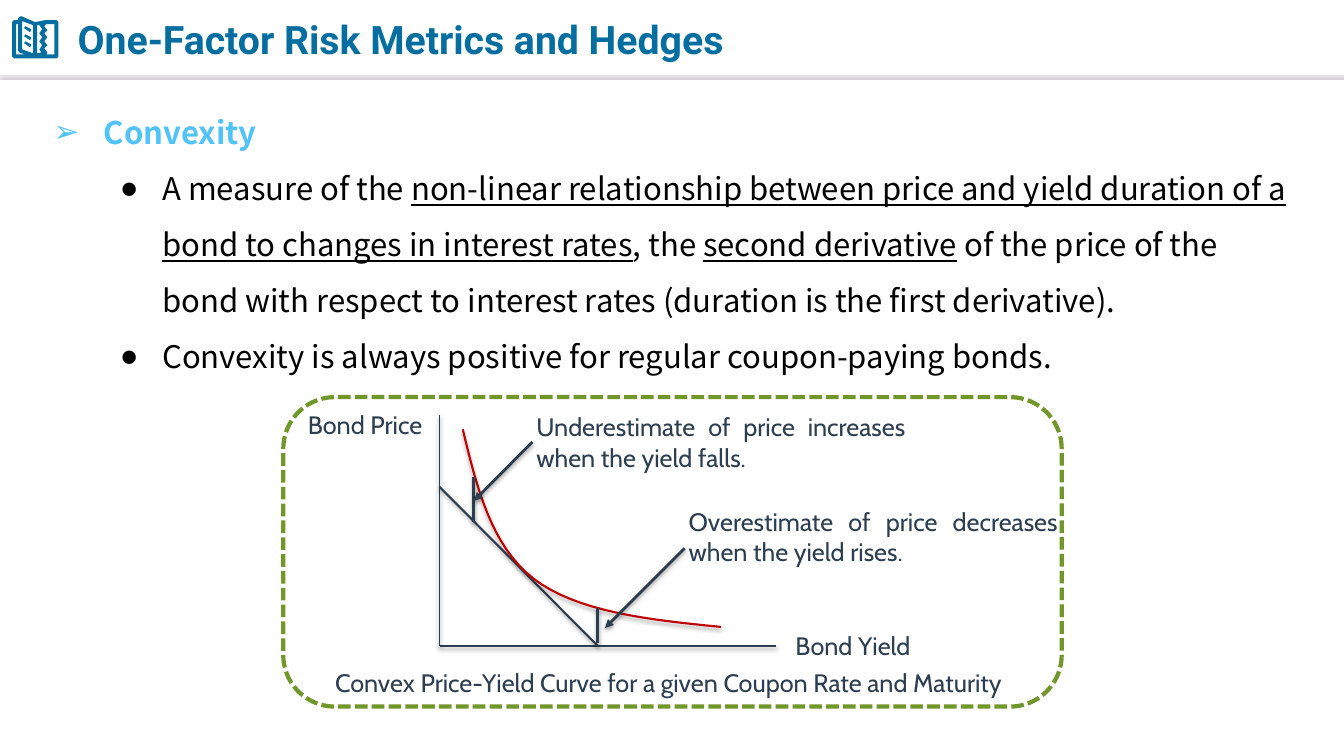
from lxml import etree
from pptx import Presentation
from pptx.dml.color import RGBColor
from pptx.enum.dml import MSO_LINE
from pptx.enum.shapes import MSO_CONNECTOR, MSO_SHAPE
from pptx.enum.text import MSO_ANCHOR, MSO_AUTO_SIZE, PP_ALIGN
from pptx.oxml.ns import qn
from pptx.util import Inches, Pt

STRAIGHT = MSO_CONNECTOR.STRAIGHT
ROUNDED = MSO_SHAPE.ROUNDED_RECTANGLE
DASHED = MSO_LINE.SQUARE_DOT
MIDDLE, TOP = MSO_ANCHOR.MIDDLE, MSO_ANCHOR.TOP
LEFT, CENTER, JUSTIFY = PP_ALIGN.LEFT, PP_ALIGN.CENTER, PP_ALIGN.JUSTIFY
LEFT_SIDE = 1

COLORS = {
    "title": "056EA0", "heading": "51C3F9", "body": "000000", "ink": "2C3E50",
    "curve": "C00000", "frame": "719629", "white": "FFFFFF",
    "rule_shadow": "BCB4C4", "shadow": "000000",
}
SOFT_SHADOW = ("shadow", 38, 3.1, 1.6)
RULE_SHADOW = ("rule_shadow", 100, 1, 3)

BOOK_OUTLINES = [
    [(0.09, 0), (0.23, 0.06), (0.33, 0.04), (0.44, 0.04), (0.46, 0.06), (0.46, 0.4),
     (0.44, 0.42), (0.02, 0.42), (0, 0.4), (0, 0.06), (0.02, 0.04), (0.06, 0.04), (0.06, 0.02)],
    [(0.04, 0.08), (0.04, 0.38), (0.13, 0.38), (0.07, 0.36), (0.06, 0.34), (0.06, 0.08)],
    [(0.1, 0.05), (0.1, 0.33), (0.21, 0.37), (0.21, 0.09)],
    [(0.27, 0.09), (0.25, 0.09), (0.25, 0.37), (0.29, 0.36), (0.27, 0.33), (0.3, 0.29),
     (0.27, 0.25), (0.3, 0.21), (0.27, 0.17), (0.3, 0.13)],
    [(0.34, 0.08), (0.32, 0.1), (0.35, 0.14), (0.32, 0.17), (0.35, 0.21), (0.32, 0.25),
     (0.35, 0.29), (0.32, 0.32), (0.35, 0.36), (0.34, 0.38), (0.42, 0.38), (0.42, 0.08)],
] + [
    [(0.13, 0.1 + drop), (0.19, 0.13 + drop), (0.18, 0.16 + drop), (0.12, 0.12 + drop)]
    for drop in (0, 0.08, 0.15)
]

CURVE_SEGMENTS = [
    [(1.78, 0.32), (1.92, 0.9), (2.06, 1.47), (2.48, 1.8)],
    [(2.48, 1.8), (2.91, 2.13), (3.62, 2.21), (4.34, 2.28)],
]

BULLETS = [
    [("A measure of the ", False),
     ("non-linear relationship between price and yield duration of a bond to changes"
      " in interest rates", True),
     (", the ", False),
     ("second derivative", True),
     (" of the price of the bond with respect to interest rates"
      " (duration is the first derivative).", False)],
    [("Convexity is always positive for regular coupon-paying bonds.", False)],
]


def color(name):
    """Return the named palette colour."""
    return RGBColor.from_string(COLORS[name])


def set_font(font, name, size, color_name, bold=False):
    """Apply family, size, colour and weight."""
    font.name, font.size, font.bold = name, Pt(size), bold
    font.color.rgb = color(color_name)


def add_shadow(shape, color_name, opacity, blur, distance):
    """Give a shape a downward outer shadow."""
    effects = etree.SubElement(shape._element.spPr, qn("a:effectLst"))
    outer = etree.SubElement(effects, qn("a:outerShdw"), blurRad=str(Pt(blur)),
                             dist=str(Pt(distance)), dir="5400000",
                             algn="t", rotWithShape="0")
    tint = etree.SubElement(outer, qn("a:srgbClr"), val=COLORS[color_name])
    etree.SubElement(tint, qn("a:alpha"), val=str(opacity * 1000))


def add_line(slide, start, end, width, color_name="ink", shadow=SOFT_SHADOW, arrow=False):
    """Draw a shadowed straight line, optionally with an arrowhead."""
    ends = [Inches(value) for value in (*start, *end)]
    connector = slide.shapes.add_connector(STRAIGHT, *ends)
    connector.line.color.rgb = color(color_name)
    connector.line.width = Pt(width)
    if arrow:
        etree.SubElement(connector.line._get_or_add_ln(), qn("a:tailEnd"), type="triangle")
    add_shadow(connector, *shadow)
    return connector


def add_outline(slide, contours, left, top, close):
    """Build one freeform from contours placed at the given corner."""
    placed = [[(Inches(left + x), Inches(top + y)) for x, y in contour] for contour in contours]
    builder = slide.shapes.build_freeform(*placed[0][0])
    builder.add_line_segments(placed[0][1:], close=close)
    for contour in placed[1:]:
        builder.move_to(*contour[0])
        builder.add_line_segments(contour[1:], close=close)
    return builder.convert_to_shape()


def bezier_points(segment, steps=16):
    """Sample a cubic Bezier segment."""
    points = []
    for step in range(steps + 1):
        t = step / steps
        weights = ((1 - t) ** 3, 3 * t * (1 - t) ** 2, 3 * t * t * (1 - t), t ** 3)
        points.append(tuple(sum(w * p[axis] for w, p in zip(weights, segment))
                            for axis in (0, 1)))
    return points


def place(shape, left, top, width, height):
    """Move and size a shape."""
    shape.left, shape.top = Inches(left), Inches(top)
    shape.width, shape.height = Inches(width), Inches(height)


def add_header(slide, left, top, width, height):
    """Draw the header rule, book icon and title."""
    add_line(slide, (left, top + height), (left + width, top + height), 0.75,
             "white", RULE_SHADOW)
    book = add_outline(slide, BOOK_OUTLINES, left + 0.12, top + 0.16, True)
    book.shadow.inherit = False
    book.fill.solid()
    book.fill.fore_color.rgb = color("title")
    book.line.fill.background()
    title = slide.shapes.title
    place(title, left + 0.67, top + 0.07, 7.36, 0.63)
    frame = title.text_frame
    frame.text = "One-Factor Risk Metrics and Hedges"
    frame.auto_size = MSO_AUTO_SIZE.NONE
    frame.vertical_anchor = MIDDLE
    frame.paragraphs[0].alignment = LEFT
    set_font(frame.paragraphs[0].font, "Roboto", 28, "title", True)


def format_bullet(paragraph, symbol, margin, hanging):
    """Set bullet, indent and spacing of a list paragraph."""
    paragraph.line_spacing = 1.5
    paragraph.space_before = Pt(0)
    properties = paragraph._p.get_or_add_pPr()
    properties.set("marL", str(Inches(margin)))
    properties.set("indent", str(Inches(-hanging)))
    etree.SubElement(properties, qn("a:buChar"), char=symbol)


def add_body(slide, left, top, width, height):
    """Fill the body placeholder with the heading and its bullets."""
    body = slide.placeholders[1]
    place(body, left, top, width, height)
    frame = body.text_frame
    frame.auto_size = MSO_AUTO_SIZE.NONE
    frame.vertical_anchor = TOP
    heading = frame.paragraphs[0]
    heading.text = "Convexity"
    format_bullet(heading, "➢", 0.5, 0.5)
    set_font(heading.font, "Noto Sans CJK SC", 22.2, "heading", True)
    for pieces in BULLETS:
        paragraph = frame.add_paragraph()
        paragraph.level = 1
        format_bullet(paragraph, "●", 1.08, 0.42)
        set_font(paragraph.font, "Noto Sans CJK SC", 22.2, "body")
        for text, underlined in pieces:
            run = paragraph.add_run()
            run.text = text
            if underlined:
                run.font.underline = True


def add_label(slide, text, left, top, width, height, alignment=CENTER, spacing=1.0):
    """Add a diagram label."""
    label = slide.shapes.add_textbox(*(Inches(v) for v in (left, top, width, height)))
    frame = label.text_frame
    frame.word_wrap = True
    frame.vertical_anchor = MIDDLE
    frame.margin_left = frame.margin_right = Inches(0.04)
    frame.margin_top = frame.margin_bottom = Inches(0.04)
    paragraph = frame.paragraphs[0]
    paragraph.text = text
    paragraph.alignment = alignment
    paragraph.line_spacing = spacing
    set_font(paragraph.font, "Cabin", 18, "ink")
    return label


def add_diagram(slide, left, top, width, height):
    """Draw the framed price-yield curve with its tangent and notes."""
    def at(x, y):
        """Shift a point into the diagram box."""
        return left + x, top + y

    origin, tangent_foot = at(1.55, 2.47), at(3.12, 2.47)
    add_line(slide, origin, at(4.89, 2.47), 1)
    add_line(slide, origin, at(1.55, 0.18), 1)
    add_line(slide, at(1.55, 0.89), tangent_foot, 1.5)
    points = bezier_points(CURVE_SEGMENTS[0]) + bezier_points(CURVE_SEGMENTS[1])[1:]
    curve = add_outline(slide, [points], left, top, False)
    curve.fill.background()
    curve.line.color.rgb = color("curve")
    curve.line.width = Pt(1.5)
    add_shadow(curve, *SOFT_SHADOW)
    add_line(slide, at(1.89, 1.24), at(1.89, 0.79), 2)
    add_line(slide, at(3.12, 2.44), at(3.12, 2.09), 2)
    under_arrow = add_line(slide, at(2.47, 0.44), at(1.89, 1.03), 2, arrow=True)
    under_note = add_label(slide, "Underestimate of price increases when the yield falls.",
                           *at(2.47, 0.09), 3.74, 0.71, JUSTIFY)
    under_arrow.begin_connect(under_note, LEFT_SIDE)
    add_line(slide, at(3.98, 1.5), at(3.19, 2.29), 2, arrow=True)
    add_label(slide, "Overestimate of price decreases when the yield rises.",
              *at(3.98, 1.03), 3.74, 0.71, JUSTIFY)
    add_label(slide, "Bond Yield", *at(4.96, 2.27), 1.38, 0.39)
    add_label(slide, "Bond Price", *at(0.12, 0.08), 1.38, 0.39)
    add_label(slide, "Convex Price-Yield Curve for a given Coupon Rate and Maturity",
              *at(0.08, 2.6), 7.48, 0.39, spacing=1.2)
    frame = slide.shapes.add_shape(ROUNDED, *(Inches(v) for v in (left, top, width, height)))
    frame.shadow.inherit = False
    frame.fill.background()
    frame.line.color.rgb = color("frame")
    frame.line.width = Pt(3)
    frame.line.dash_style = DASHED


def main():
    """Build and save the slide."""
    presentation = Presentation()
    presentation.slide_width, presentation.slide_height = Inches(13.33), Inches(7.5)
    slide = presentation.slides.add_slide(presentation.slide_layouts[1])
    add_header(slide, 0, 0, 13.33, 0.73)
    add_body(slide, 0.43, 0.89, 12.47, 2.86)
    add_diagram(slide, 2.81, 3.94, 7.72, 3.07)
    presentation.save("out.pptx")


if __name__ == "__main__":
    main()
